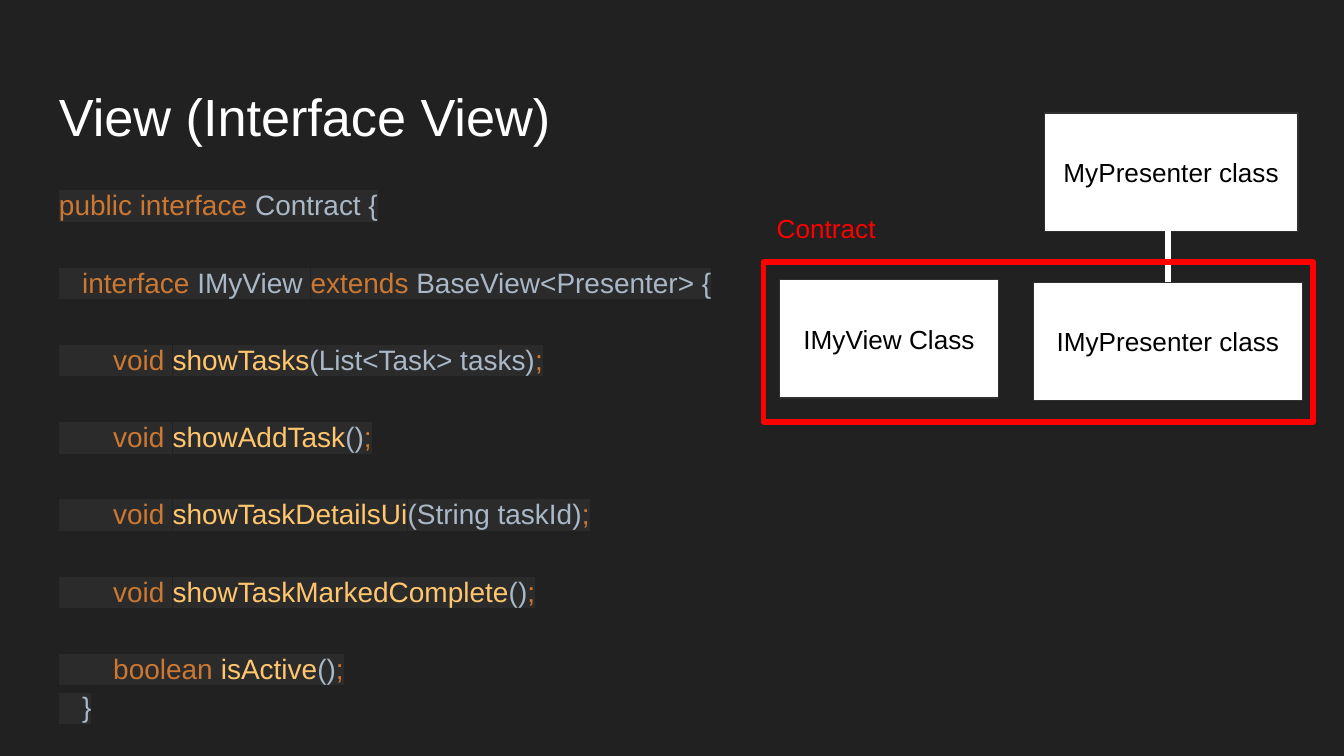
from lxml import etree
from pptx import Presentation
from pptx.dml.color import RGBColor
from pptx.enum.shapes import MSO_CONNECTOR, MSO_SHAPE
from pptx.enum.text import MSO_ANCHOR, PP_ALIGN
from pptx.oxml.ns import qn
from pptx.util import Pt

RECTANGLE = MSO_SHAPE.RECTANGLE
STRAIGHT = MSO_CONNECTOR.STRAIGHT
TOP, MIDDLE = MSO_ANCHOR.TOP, MSO_ANCHOR.MIDDLE
LEFT, CENTER = PP_ALIGN.LEFT, PP_ALIGN.CENTER
TOP_SIDE = 0

THEME = {
    "font": "Arial",
    "background": "212121", "title": "FFFFFF",
    "keyword": "CC7832", "plain": "A9B7C6", "method": "FFC66D",
    "highlight": "2B2B2B",
    "box": "FFFFFF", "box_line": "303030", "box_text": "000000",
    "link": "FFFFFF", "contract": "FF0000",
    "title_size": 28, "code_size": 15, "label_size": 14,
    "thin": 0.75, "thick": 3,
}
INSET = 7.2
CODE_PITCH = 20.7

TITLE = "View (Interface View)"
TITLE_AREA = (24.5, 35.3, 671, 45.4)
CODE_AREA = (24.5, 90.7, 671, 303.8)


def method(return_type, name, arguments=""):
    return [("keyword", f"{return_type} "), ("method", name),
            ("plain", f"({arguments})"), ("keyword", ";")]


# (code indent in characters, line gap above, coloured tokens)
CODE = [
    (0, 0, [("keyword", "public interface "), ("plain", "Contract {")]),
    (3, 1, [("keyword", "interface "), ("plain", "IMyView "),
            ("keyword", "extends "), ("plain", "BaseView<Presenter> {")]),
    (7, 1, method("void", "showTasks", "List<Task> tasks")),
    (7, 1, method("void", "showAddTask")),
    (7, 1, method("void", "showTaskDetailsUi", "String taskId")),
    (7, 1, method("void", "showTaskMarkedComplete")),
    (7, 1, method("boolean", "isActive")),
    (3, 0, [("plain", "}")]),
]

CLASS_BOXES = {
    "MyPresenter class": (559.4, 60.5, 136.1, 63.4),
    "IMyPresenter class": (553.7, 151.2, 144, 63.4),
    "IMyView Class": (417.6, 149.8, 117.4, 63.4),
}
CONTRACT_FRAME = (409, 140.4, 294.5, 85.7)
CONTRACT_LABEL = ("Contract", (409, 106.6, 98, 31.7))


def color(role):
    return RGBColor.from_string(THEME[role])


def points(area):
    return [Pt(length) for length in area]


def style_run(run, role, size):
    run.font.name = THEME["font"]
    run.font.size = Pt(THEME[size])
    run.font.color.rgb = color(role)


def prepare_frame(frame, anchor=TOP):
    frame.word_wrap = True
    frame.vertical_anchor = anchor
    frame.margin_left = frame.margin_right = Pt(INSET)
    frame.margin_top = frame.margin_bottom = Pt(INSET)
    return frame


def set_text(frame, text, role, size, align=LEFT):
    frame.text = text
    paragraph = frame.paragraphs[0]
    paragraph.alignment = align
    style_run(paragraph.runs[0], role, size)


def add_label(slide, text, area, role, size):
    frame = prepare_frame(slide.shapes.add_textbox(*points(area)).text_frame)
    set_text(frame, text, role, size)
    return frame


def highlight(run):
    """Put a highlight right after the run's fill, as the schema asks."""
    mark = etree.Element(qn("a:highlight"))
    etree.SubElement(mark, qn("a:srgbClr"), val=THEME["highlight"])
    run.font._element.find(qn("a:solidFill")).addnext(mark)


def add_code(slide):
    frame = prepare_frame(slide.shapes.add_textbox(*points(CODE_AREA)).text_frame)
    for number, (indent, gap, tokens) in enumerate(CODE):
        line = frame.add_paragraph() if number else frame.paragraphs[0]
        line.line_spacing = Pt(CODE_PITCH)
        line.space_before = Pt(gap * CODE_PITCH)
        for position, (role, text) in enumerate(tokens):
            run = line.add_run()
            run.text = text if position else " " * indent + text
            style_run(run, role, "code_size")
            highlight(run)


def add_rectangle(slide, area, line_role, width):
    rectangle = slide.shapes.add_shape(RECTANGLE, *points(area))
    rectangle.shadow.inherit = False
    rectangle.line.color.rgb = color(line_role)
    rectangle.line.width = Pt(THEME[width])
    return rectangle


def add_class_box(slide, name, area):
    box = add_rectangle(slide, area, "box_line", "thin")
    box.fill.solid()
    box.fill.fore_color.rgb = color("box")
    set_text(prepare_frame(box.text_frame, MIDDLE), name, "box_text",
             "label_size", CENTER)
    return box


def add_link(slide, upper, lower):
    """Draw a vertical line from upper's bottom edge to lower's top middle."""
    x = lower.left + lower.width // 2
    link = slide.shapes.add_connector(
        STRAIGHT, x, upper.top + upper.height, x, lower.top)
    link.end_connect(lower, TOP_SIDE)
    link.line.color.rgb = color("link")
    link.line.width = Pt(THEME["thick"])
    etree.SubElement(link._element.spPr, qn("a:effectLst"))


def main():
    deck = Presentation()
    deck.slide_width, deck.slide_height = Pt(720), Pt(405)
    slide = deck.slides.add_slide(deck.slide_layouts[6])
    slide.background.fill.solid()
    slide.background.fill.fore_color.rgb = color("background")

    title = add_label(slide, TITLE, TITLE_AREA, "title", "title_size")
    title.margin_top = Pt(INSET + 2.4)
    add_code(slide)

    boxes = {name: add_class_box(slide, name, area)
             for name, area in CLASS_BOXES.items()}
    add_link(slide, boxes["MyPresenter class"], boxes["IMyPresenter class"])
    add_rectangle(slide, CONTRACT_FRAME, "contract", "thick").fill.background()
    add_label(slide, *CONTRACT_LABEL, "contract", "label_size")

    deck.save("out.pptx")


if __name__ == "__main__":
    main()
